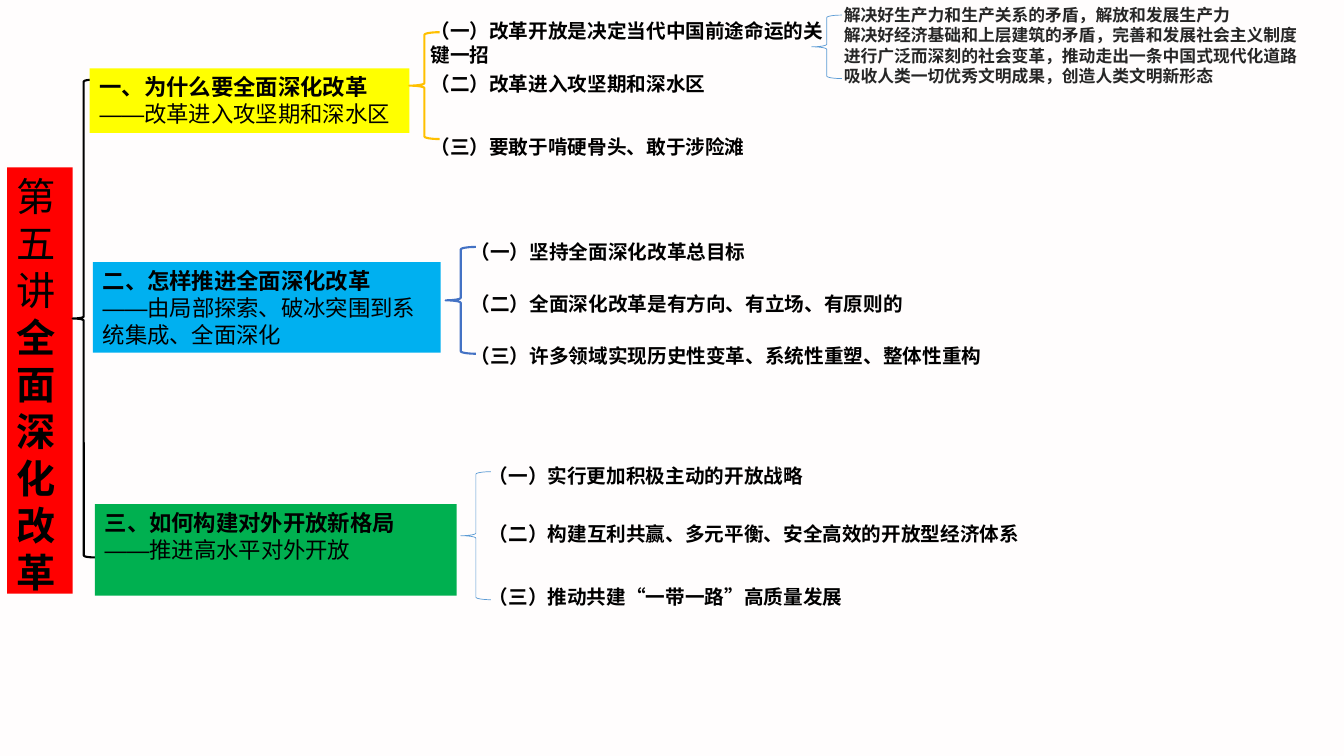
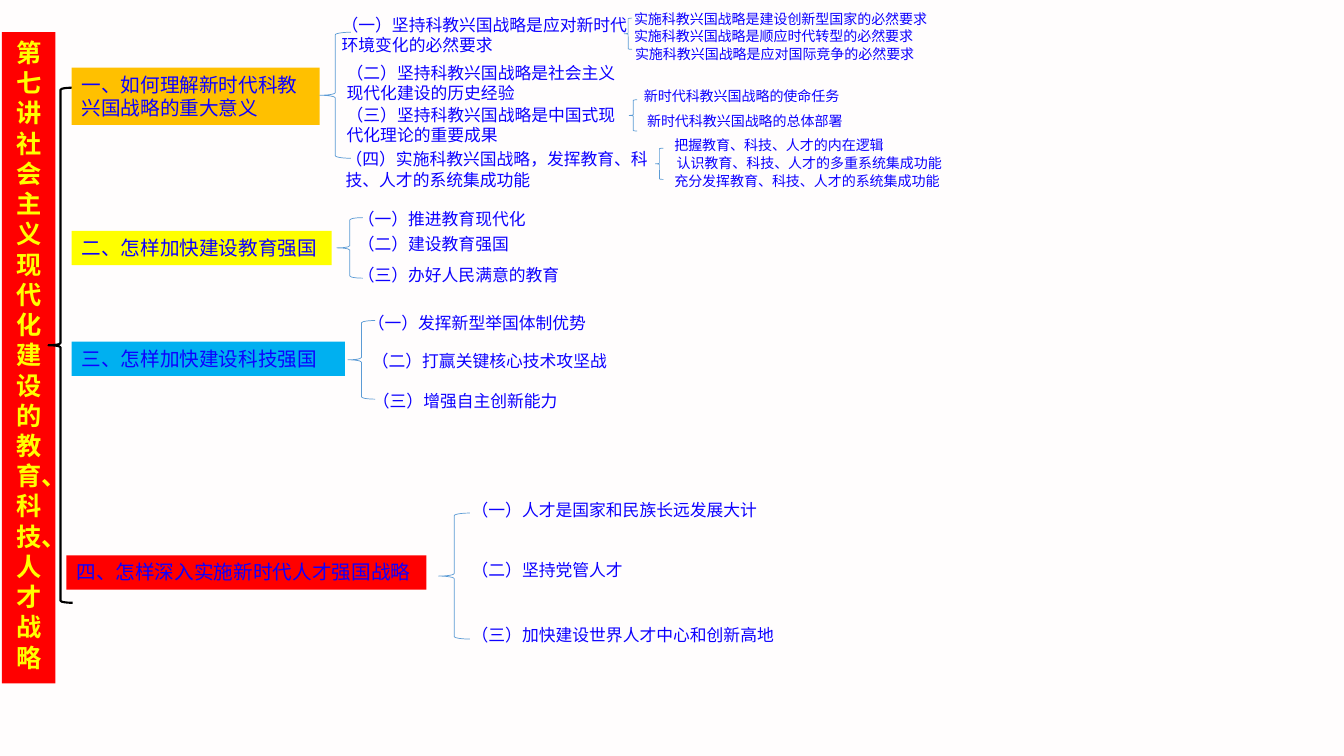
from dataclasses import dataclass, field
from math import ceil
from typing import NamedTuple

from lxml import etree
from pptx import Presentation
from pptx import util as u
from pptx.dml.color import RGBColor
from pptx.enum import lang, shapes, text
from pptx.oxml import ns

PX = 9144
SLIDE_WIDTH, SLIDE_HEIGHT = 1333, 750
SANS, TITLE_SANS, PLAIN = "Noto Sans CJK SC", "Noto Sans CJK JP", "Arial"
BLACK, CHARCOAL, INK_BLUE = "000000", "262626", "0D01FF"
RED, YELLOW, AMBER, SKY, GREEN = "FF0000", "FFFF00", "FFC000", "00B0F0", "00B050"
PALE_BLUE, MID_BLUE, PAPER = "5B9BD5", "4472C4", "FFFDFD"


class Look(NamedTuple):
    font: str
    size: int
    color: str
    bold: bool = False


class Brace(NamedTuple):
    left: int
    top: int
    width: int
    height: int
    color: str = PALE_BLUE
    weight: float = 0.5


@dataclass
class Label:
    left: int
    top: int
    width: int
    lines: list[str]
    looks: list[Look]
    rows: int = 1
    fill: str = ""
    height: int = 0
    centered: bool = False

    def full_height(self) -> int:
        return self.height or ceil(10 + self.rows * self.looks[0].size * 5 / 3)


@dataclass
class Branch:
    heading: Label
    brace: Brace
    points: list[Label]


@dataclass
class MindMap:
    title: Label
    brace: Brace
    branches: list[Branch]
    details: list[Label]
    detail_braces: list[Brace] = field(default_factory=list)


def px(length: int) -> u.Emu:
    return u.Emu(length * PX)


def rgb(color: str) -> RGBColor:
    return RGBColor.from_string(color)


def style_run(run, look: Look) -> None:
    font = run.font
    font.name = look.font
    font.size = u.Pt(look.size)
    font.bold = look.bold
    font.color.rgb = rgb(look.color)
    font.language_id = lang.MSO_LANGUAGE_ID.SIMPLIFIED_CHINESE
    latin = run._r.get_or_add_rPr().find(ns.qn("a:latin"))
    east_asian = etree.Element(ns.qn("a:ea"))
    east_asian.set("typeface", look.font)
    latin.addnext(east_asian)


def draw_label(slide, label: Label) -> None:
    place = [px(n) for n in (label.left, label.top, label.width, label.full_height())]
    if label.fill:
        box = slide.shapes.add_shape(shapes.MSO_SHAPE.RECTANGLE, *place)
        box.shadow.inherit = False
        box.fill.solid()
        box.fill.fore_color.rgb = rgb(label.fill)
        box.line.fill.background()
    else:
        box = slide.shapes.add_textbox(*place)
    frame = box.text_frame
    frame.text = "\n".join(label.lines)
    frame.word_wrap = True
    frame.vertical_anchor = text.MSO_ANCHOR.TOP
    frame.auto_size = (text.MSO_AUTO_SIZE.NONE if label.height
                       else text.MSO_AUTO_SIZE.SHAPE_TO_FIT_TEXT)
    for index, paragraph in enumerate(frame.paragraphs):
        paragraph.alignment = text.PP_ALIGN.CENTER if label.centered else text.PP_ALIGN.LEFT
        look = label.looks[min(index, len(label.looks) - 1)]
        for run in paragraph.runs:
            style_run(run, look)


def draw_brace(slide, brace: Brace) -> None:
    place = [px(n) for n in brace[:4]]
    curve = slide.shapes.add_shape(shapes.MSO_SHAPE.LEFT_BRACE, *place)
    curve.shadow.inherit = False
    curve.fill.background()
    curve.line.color.rgb = rgb(brace.color)
    curve.line.width = u.Pt(brace.weight)


def draw_map(deck, mind_map: MindMap) -> None:
    slide = deck.slides.add_slide(deck.slide_layouts[6])
    draw_label(slide, mind_map.title)
    draw_brace(slide, mind_map.brace)
    for branch in mind_map.branches:
        draw_label(slide, branch.heading)
        draw_brace(slide, branch.brace)
        for point in branch.points:
            draw_label(slide, point)
    for detail in mind_map.details:
        draw_label(slide, detail)
    for brace in mind_map.detail_braces:
        draw_brace(slide, brace)


REFORM_HEADING = [Look(SANS, 16, BLACK, True), Look(PLAIN, 16, BLACK)]
REFORM_POINT = [Look(SANS, 14, BLACK, True)]
REFORM_DETAIL = [Look(SANS, 12, CHARCOAL, True)]
TALENT_HEADING = [Look(PLAIN, 14, INK_BLUE)]
TALENT_POINT = [Look(PLAIN, 12, INK_BLUE)]
TALENT_DETAIL = [Look(SANS, 10, INK_BLUE)]


def reform_heading(left: int, top: int, width: int, lines: list[str],
                   rows: int, fill: str) -> Label:
    return Label(left, top, width, lines, REFORM_HEADING, rows, fill)


def reform_point(left: int, top: int, width: int, words: str, rows: int = 1) -> Label:
    return Label(left, top, width, [words], REFORM_POINT, rows)


def talent_heading(left: int, top: int, width: int, words: str,
                   fill: str, rows: int = 1) -> Label:
    return Label(left, top, width, [words], TALENT_HEADING, rows, fill)


def talent_point(left: int, top: int, width: int, words: str, rows: int = 1) -> Label:
    return Label(left, top, width, [words], TALENT_POINT, rows)


def talent_detail(left: int, top: int, width: int, words: str,
                  centered: bool = False) -> Label:
    return Label(left, top, width, [words], TALENT_DETAIL, centered=centered)


REFORM = MindMap(
    title=Label(7, 166, 65, ["第五讲", "全面深化改革"],
                [Look(TITLE_SANS, 28, BLACK), Look(SANS, 28, BLACK, True)],
                fill=RED, height=423),
    brace=Brace(72, 79, 22, 474, BLACK, 1.5),
    branches=[
        Branch(
            reform_heading(89, 68, 317, ["一、为什么要全面深化改革", "——改革进入攻坚期和深水区"],
                           2, YELLOW),
            Brace(406, 32, 30, 106, AMBER, 1.5),
            [reform_point(417, 14, 412, "（一）改革开放是决定当代中国前途命运的关键一招", 2),
             reform_point(417, 66, 338, "（二）改革进入攻坚期和深水区"),
             reform_point(417, 129, 368, "（三）要敢于啃硬骨头、敢于涉险滩")]),
        Branch(
            reform_heading(92, 260, 345,
                           ["二、怎样推进全面深化改革", "——由局部探索、破冰突围到系统集成、全面深化"],
                           3, SKY),
            Brace(442, 245, 30, 106, MID_BLUE, 1.5),
            [reform_point(457, 233, 393, "（一）坚持全面深化改革总目标"),
             reform_point(457, 285, 497, "（二）全面深化改革是有方向、有立场、有原则的"),
             reform_point(457, 336, 578, "（三）许多领域实现历史性变革、系统性重塑、整体性重构")]),
        Branch(
            Label(94, 500, 359, ["三、如何构建对外开放新格局", "——推进高水平对外开放"],
                  REFORM_HEADING, fill=GREEN, height=91),
            Brace(457, 468, 30, 127),
            [reform_point(475, 455, 586, "（一）实行更加积极主动的开放战略"),
             reform_point(475, 513, 649, "（二）构建互利共赢、多元平衡、安全高效的开放型经济体系"),
             reform_point(475, 575, 586, "（三）推动共建“一带一路”高质量发展")]),
    ],
    details=[Label(827, 0, 481,
                   ["解决好生产力和生产关系的矛盾，解放和发展生产力",
                    "解决好经济基础和上层建筑的矛盾，完善和发展社会主义制度",
                    "进行广泛而深刻的社会变革，推动走出一条中国式现代化道路",
                    "吸收人类一切优秀文明成果，创造人类文明新形态"],
                   REFORM_DETAIL, 4)],
    detail_braces=[Brace(805, 15, 30, 63)],
)

TALENT = MindMap(
    title=Label(2, 32, 53, ["第七讲社会主义现代化建设的教育、科技、人才战略"],
                [Look(SANS, 18, YELLOW, True)], fill=RED, height=646, centered=True),
    brace=Brace(48, 87, 24, 511, BLACK, 1.5),
    branches=[
        Branch(
            talent_heading(71, 67, 246, "一、如何理解新时代科教兴国战略的重大意义", AMBER, 2),
            Brace(317, 32, 31, 125),
            [talent_point(329, 10, 303, "（一）坚持科教兴国战略是应对新时代环境变化的必然要求", 2),
             talent_point(334, 57, 301, "（二）坚持科教兴国战略是社会主义现代化建设的历史经验", 2),
             talent_point(334, 99, 299, "（三）坚持科教兴国战略是中国式现代化理论的重要成果", 2),
             talent_point(333, 143, 327,
                          "（四）实施科教兴国战略，发挥教育、科技、人才的系统集成功能", 2)]),
        Branch(
            talent_heading(71, 229, 258, "二、怎样加快建设教育强国", YELLOW),
            Brace(334, 216, 26, 60),
            [talent_point(345, 202, 198, "（一）推进教育现代化"),
             talent_point(345, 227, 179, "（二）建设教育强国"),
             talent_point(345, 258, 221, "（三）办好人民满意的教育")]),
        Branch(
            talent_heading(71, 339, 271, "三、怎样加快建设科技强国", SKY),
            Brace(345, 318, 27, 78),
            [talent_point(355, 305, 237, "（一）发挥新型举国体制优势"),
             talent_point(359, 343, 273, "（二）打赢关键核心技术攻坚战"),
             talent_point(360, 383, 222, "（三）增强自主创新能力")]),
        Branch(
            talent_heading(66, 551, 357, "四、怎样深入实施新时代人才强国战略", RED),
            Brace(435, 509, 31, 125),
            [talent_point(458, 491, 320, "（一）人才是国家和民族长远发展大计"),
             talent_point(458, 550, 189, "（二）坚持党管人才"),
             talent_point(458, 615, 332, "（三）加快建设世界人才中心和创新高地")]),
    ],
    details=[
        talent_detail(619, 6, 313, "实施科教兴国战略是建设创新型国家的必然要求"),
        talent_detail(619, 22, 300, "实施科教兴国战略是顺应时代转型的必然要求"),
        talent_detail(620, 40, 299, "实施科教兴国战略是应对国际竞争的必然要求"),
        talent_detail(619, 82, 233, "新时代科教兴国战略的使命任务", True),
        talent_detail(632, 107, 216, "新时代科教兴国战略的总体部署"),
        talent_detail(659, 131, 230, "把握教育、科技、人才的内在逻辑"),
        talent_detail(659, 148, 287, "认识教育、科技、人才的多重系统集成功能", True),
        talent_detail(659, 166, 287, "充分发挥教育、科技、人才的系统集成功能"),
    ],
    detail_braces=[Brace(left, top, 8, 31) for left, top in ((619, 18), (624, 99), (650, 147))],
)


def main() -> None:
    deck = Presentation()
    deck.slide_width, deck.slide_height = px(SLIDE_WIDTH), px(SLIDE_HEIGHT)
    backdrop = deck.slide_master.background.fill
    backdrop.solid()
    backdrop.fore_color.rgb = rgb(PAPER)
    for mind_map in (REFORM, TALENT):
        draw_map(deck, mind_map)
    deck.save("out.pptx")


if __name__ == "__main__":
    main()
